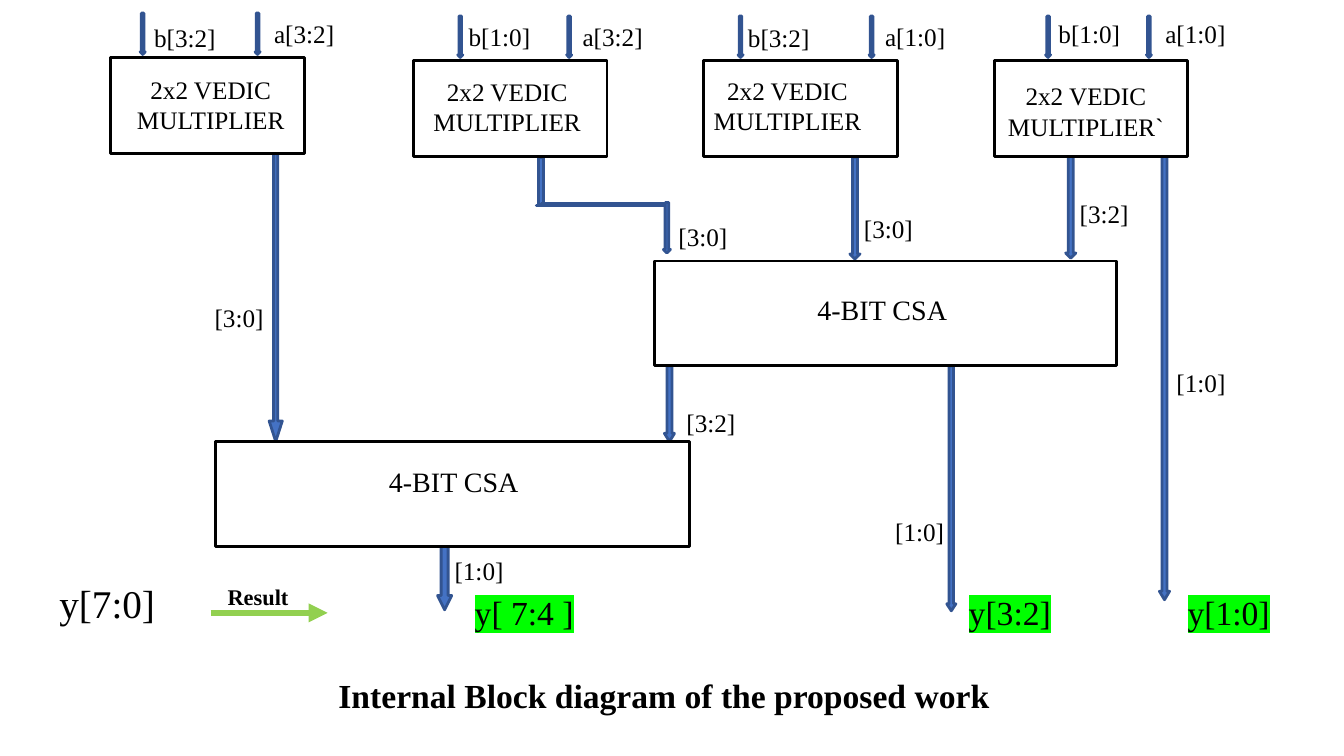
import pptx
import lxml.etree
from pptx.dml.color import RGBColor
from pptx.enum.shapes import MSO_CONNECTOR, MSO_SHAPE
from pptx.enum.text import MSO_ANCHOR, PP_ALIGN
from pptx.oxml import parse_xml
from pptx.oxml.ns import nsdecls, qn
from pptx.util import Inches, Pt

BLACK = RGBColor(0x00, 0x00, 0x00)
WHITE = RGBColor(0xFF, 0xFF, 0xFF)
BLUE = RGBColor(0x44, 0x72, 0xC4)
DARK_BLUE = RGBColor(0x32, 0x54, 0x91)
GREEN = RGBColor(0x92, 0xD0, 0x50)
HIGHLIGHT = RGBColor(0x00, 0xFF, 0x00)
FONT = "Times New Roman"
MULTIPLIER_WIDTH, MULTIPLIER_HEIGHT = 1.92, 0.95


def style_para(para, size, bold=False, align=PP_ALIGN.LEFT):
    para.alignment = align
    para.font.name = FONT
    para.font.size = Pt(size)
    para.font.bold = bold
    para.font.color.rgb = BLACK


def add_label(page, text, left, top, width=0.71, height=0.35, size=18,
              bold=False, align=PP_ALIGN.LEFT, highlight=None):
    box = page.shapes.add_textbox(Inches(left), Inches(top), Inches(width), Inches(height))
    box.text_frame.word_wrap = True
    para = box.text_frame.paragraphs[0]
    span = para.add_run()
    span.text = text
    style_para(para, size, bold, align)
    if highlight is not None:
        span.font._element.append(parse_xml(
            f'<a:highlight {nsdecls("a")}><a:srgbClr val="{highlight}"/></a:highlight>'))


def add_block(page, preset, left, top, width, height, fill, line):
    block = page.shapes.add_shape(
        preset, Inches(left), Inches(top), Inches(width), Inches(height))
    block.shadow.inherit = False
    block.fill.solid()
    block.fill.fore_color.rgb = fill
    block.line.color.rgb = line
    block.line.width = Pt(2)
    return block


def add_arrow(page, left, top, width, height, shaft=0.5, head=0.5,
              preset=MSO_SHAPE.DOWN_ARROW):
    arrow = add_block(page, preset, left, top, width, height, BLUE, DARK_BLUE)
    arrow.adjustments[0] = shaft
    arrow.adjustments[1] = head


def add_multiplier(page, left, top, text, text_left, text_top, inputs):
    add_block(page, MSO_SHAPE.RECTANGLE, left, top,
              MULTIPLIER_WIDTH, MULTIPLIER_HEIGHT, WHITE, BLACK)
    add_label(page, text, left + text_left, top + text_top, 2.02, 0.62,
              align=PP_ALIGN.CENTER)
    for name, arrow_left, label_left, label_top in inputs:
        add_arrow(page, left + arrow_left, top - 0.44, 0.05, 0.41)
        add_label(page, name, left + label_left, top + label_top, 0.87)


def add_adder(page, left, top, width, text_left, text_top):
    add_block(page, MSO_SHAPE.RECTANGLE, left, top, width, 1.04, WHITE, BLACK)
    add_label(page, "4-BIT CSA", left + text_left, top + text_top, 2.02, 0.38,
              size=20, align=PP_ALIGN.CENTER)


def add_elbow(page, left, top):
    add_arrow(page, left, top, 0.1, 0.48, head=0)
    add_arrow(page, left + 0.05, top + 0.45, 1.25, 0.04, head=0,
              preset=MSO_SHAPE.RIGHT_ARROW)
    add_arrow(page, left + 1.26, top + 0.45, 0.07, 0.5)


def add_result(page, left, top):
    add_label(page, "y[7:0]", left, top, 1.52, 0.5, size=28)
    add_label(page, "Result", left + 1.67, top + 0.04, 0.96, 0.33, size=16, bold=True)
    pointer = page.shapes.add_connector(
        MSO_CONNECTOR.STRAIGHT, Inches(left + 1.6), Inches(top + 0.38),
        Inches(left + 2.76), Inches(top + 0.38))
    pointer.line.color.rgb = GREEN
    pointer.line.width = Pt(4.5)
    lxml.etree.SubElement(pointer.line._get_or_add_ln(), qn("a:tailEnd"), type="triangle")
    lxml.etree.SubElement(pointer._element.spPr, qn("a:effectLst"))


def set_caption(page, left, top, width, height):
    title = page.shapes.title
    title.left, title.top = Inches(left), Inches(top)
    title.width, title.height = Inches(width), Inches(height)
    title.text_frame.text = "Internal Block diagram of the proposed work"
    title.text_frame.vertical_anchor = MSO_ANCHOR.MIDDLE
    para = title.text_frame.paragraphs[0]
    para.line_spacing = 0.9
    style_para(para, 24, True, PP_ALIGN.CENTER)


def build_diagram(page):
    arrows = [
        (2.67, 1.52, 0.13, 2.86, 0.31, 1.56),
        (8.43, 1.56, 0.1, 1.01, 0.5, 0.5),
        (10.57, 1.55, 0.1, 1.01, 0.5, 0.5),
        (11.5, 1.55, 0.1, 4.4, 0.5, 0.83),
        (9.39, 3.63, 0.09, 2.43, 0.5, 0.76),
        (6.59, 3.63, 0.1, 0.75, 0.5, 0.8),
        (4.34, 5.42, 0.14, 0.63, 0.5, 1.01),
    ]
    for arrow in arrows:
        add_arrow(page, *arrow)
    add_elbow(page, 5.32, 1.56)

    vedic = "2x2 VEDIC MULTIPLIER"
    multipliers = [
        (1.1, 0.57, vedic, -0.02, 0.12,
         [("b[3:2]", 0.29, 0.33, -0.4), ("a[3:2]", 1.43, 1.52, -0.44)]),
        (4.1, 0.6, vedic, -0.08, 0.11,
         [("b[1:0]", 0.44, 0.45, -0.44), ("a[3:2]", 1.52, 1.58, -0.44)]),
        (6.98, 0.6, vedic, -0.18, 0.1,
         [("b[3:2]", 0.34, 0.34, -0.43), ("a[1:0]", 1.64, 1.7, -0.44)]),
        (9.86, 0.6, vedic + "`", -0.1, 0.15,
         [("b[1:0]", 0.51, 0.54, -0.47), ("a[1:0]", 1.51, 1.6, -0.47)]),
    ]
    for multiplier in multipliers:
        add_multiplier(page, *multiplier)

    add_adder(page, 6.49, 2.59, 4.58, 1.25, 0.26)
    add_adder(page, 2.14, 4.38, 4.7, 1.35, 0.18)

    bus_labels = [
        ("[3:0]", 2.03, 2.95), ("[3:0]", 6.63, 2.15), ("[3:0]", 8.47, 2.07),
        ("[3:2]", 10.61, 1.92), ("[3:2]", 6.71, 3.99), ("[1:0]", 11.57, 3.59),
        ("[1:0]", 8.78, 5.07), ("[1:0]", 4.41, 5.46),
    ]
    for label in bus_labels:
        add_label(page, *label)
    for name, left, width in [("y[ 7:4 ]", 4.61, 1.75), ("y[3:2]", 9.51, 1.3),
                              ("y[1:0]", 11.68, 1.16)]:
        add_label(page, name, left, 5.82, width, 0.44, size=24, highlight=HIGHLIGHT)


def main():
    deck = pptx.Presentation()
    deck.slide_width, deck.slide_height = Inches(13.33), Inches(7.5)
    page = deck.slides.add_slide(deck.slide_layouts[5])
    build_diagram(page)
    add_result(page, 0.49, 5.7)
    set_caption(page, 2.41, 6.69, 8.35, 0.46)
    deck.save("out.pptx")


if __name__ == "__main__":
    main()
